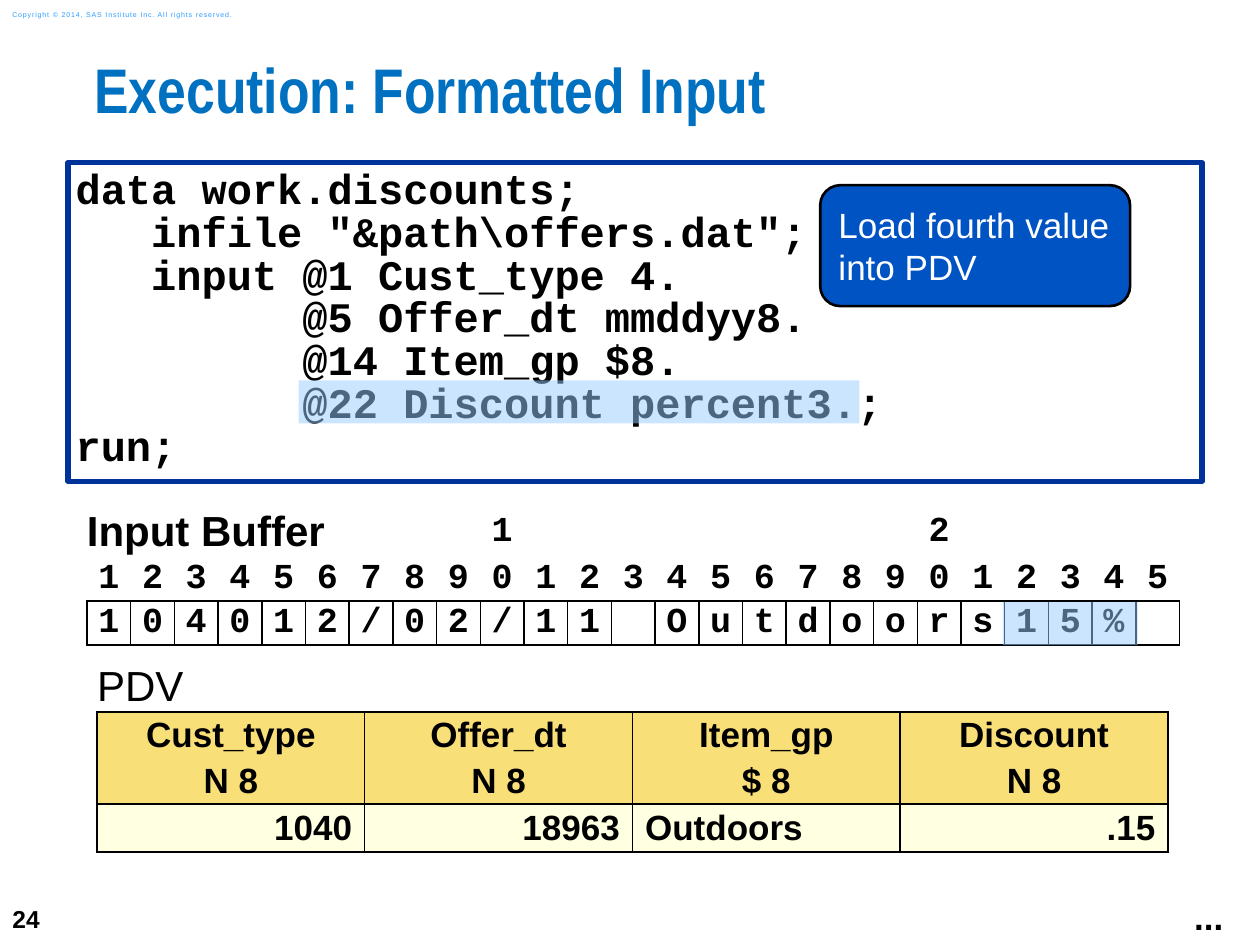
from lxml import etree
from pptx import Presentation
from pptx.dml.color import RGBColor
from pptx.enum.shapes import MSO_SHAPE
from pptx.enum.text import MSO_ANCHOR, PP_ALIGN
from pptx.oxml.ns import qn
from pptx.util import Inches, Pt

NO_STYLE = "{2D5ABB26-0587-4C30-8999-92F81FD0307C}"
BLACK, WHITE = "000000", "FFFFFF"
CODE = [
    "data work.discounts;",
    '   infile "&path\\offers.dat";',
    "   input @1 Cust_type 4.",
    "         @5 Offer_dt mmddyy8.",
    "         @14 Item_gp $8.",
    "         @22 Discount percent3.;",
    "run;",
]
RECORD = "104012/02/11 Outdoors15% "
VARIABLES = [
    ("Cust_type", "N 8", "1040"),
    ("Offer_dt", "N 8", "18963"),
    ("Item_gp", "$ 8", "Outdoors"),
    ("Discount", "N 8", ".15"),
]


def rgb(color):
    return RGBColor.from_string(color)


def write(tf, lines, size, font="Arial", color=BLACK, bold=False,
          align=PP_ALIGN.LEFT, spacing=None, gap=0):
    for i, line in enumerate(lines):
        p = tf.add_paragraph() if i else tf.paragraphs[0]
        p.alignment = align
        if spacing:
            p.line_spacing = spacing
        if i and gap:
            p.space_before = Pt(gap)
        r = p.add_run()
        r.text = line
        r.font.size = Pt(size)
        r.font.name = font
        r.font.bold = bold
        r.font.color.rgb = rgb(color)


def set_frame(tf, inset_x, inset_y, anchor=MSO_ANCHOR.TOP, wrap=True):
    tf.margin_left = tf.margin_right = Inches(inset_x)
    tf.margin_top = tf.margin_bottom = Inches(inset_y)
    tf.vertical_anchor = anchor
    tf.word_wrap = wrap


def add_text(s, box, text, size, inset=(0.1, 0.05), anchor=MSO_ANCHOR.TOP,
             wrap=True, **style):
    tf = s.shapes.add_textbox(*map(Inches, box)).text_frame
    set_frame(tf, *inset, anchor, wrap)
    write(tf, [text], size, **style)
    return tf


def add_box(s, kind, box, fill, line=None, width=1):
    sp = s.shapes.add_shape(kind, *map(Inches, box))
    sp.shadow.inherit = False
    sp.fill.solid()
    sp.fill.fore_color.rgb = rgb(fill)
    if line:
        sp.line.color.rgb = rgb(line)
        sp.line.width = Pt(width)
    else:
        sp.line.fill.background()
    return sp


def add_highlight(s, box):
    sp = add_box(s, MSO_SHAPE.RECTANGLE, box, "99CCFF")
    color = sp._element.spPr.find(qn("a:solidFill"))[0]
    etree.SubElement(color, qn("a:alpha"), val="50000")


def add_grid(s, left, top, width, cols, heights):
    frame = s.shapes.add_table(len(heights), cols, Inches(left), Inches(top),
                               Inches(width), Inches(sum(heights)))
    table = frame.table
    table.first_row = table.horz_banding = False
    table._tbl.tblPr.find(qn("a:tableStyleId")).text = NO_STYLE
    for row, height in zip(table.rows, heights):
        row.height = Inches(height)
    for col in table.columns:
        col.width = Inches(width / cols)
    return table


def fill_cell(cell, lines, size, borders="", fill=None, inset=0, **style):
    cell.margin_left = cell.margin_right = Inches(inset)
    cell.margin_top = cell.margin_bottom = 0
    cell.vertical_anchor = MSO_ANCHOR.MIDDLE
    tcPr = cell._tc.get_or_add_tcPr()
    for side in borders:
        ln = etree.SubElement(tcPr, qn(f"a:ln{side}"), w=str(Pt(1)))
        solid = etree.SubElement(ln, qn("a:solidFill"))
        etree.SubElement(solid, qn("a:srgbClr"), val=BLACK)
    if fill:
        cell.fill.solid()
        cell.fill.fore_color.rgb = rgb(fill)
    write(cell.text_frame, lines, size, gap=4, **style)


def add_input_buffer(s):
    count = len(RECORD)
    table = add_grid(s, 0.69, 4.02, 8.68, count, [0.4, 0.35, 0.35])
    mono = dict(font="Courier New", bold=True, align=PP_ALIGN.CENTER)
    table.cell(0, 0).merge(table.cell(0, 8))
    fill_cell(table.cell(0, 0), ["Input Buffer"], 24, bold=True)
    for i, char in enumerate(RECORD):
        tens, ones = divmod(i + 1, 10)
        if i >= 9:
            mark = [] if ones else [str(tens)]
            fill_cell(table.cell(0, i), mark, 20, **mono)
        fill_cell(table.cell(1, i), [str(ones)], 20, "B", **mono)
        fill_cell(table.cell(2, i), [char] if char.strip() else [], 20, "LRTB", **mono)


def add_pdv(s):
    table = add_grid(s, 0.77, 5.25, 8.5, len(VARIABLES), [0.4, 0.73, 0.38])
    table.cell(0, 0).merge(table.cell(0, len(VARIABLES) - 1))
    fill_cell(table.cell(0, 0), ["PDV"], 24, "B", WHITE)
    for i, (name, kind, value) in enumerate(VARIABLES):
        fill_cell(table.cell(1, i), [name, kind], 20, "LRTB", "F9DF78", 0.1,
                  bold=True, align=PP_ALIGN.CENTER)
        align = PP_ALIGN.LEFT if kind.startswith("$") else PP_ALIGN.RIGHT
        fill_cell(table.cell(2, i), [value], 20, "LRTB", "FFFFE1", 0.1,
                  bold=True, align=align)


def add_code(s):
    sp = add_box(s, MSO_SHAPE.RECTANGLE, (0.54, 1.29, 9, 2.53), WHITE, "003399", 3)
    set_frame(sp.text_frame, 0.06, 0.06)
    write(sp.text_frame, CODE, 24, "Courier New", bold=True, spacing=0.85)


def add_callout(s):
    sp = add_box(s, MSO_SHAPE.ROUNDED_RECTANGLE, (6.51, 1.47, 2.46, 0.96),
                 "0053C3", BLACK, 1.5)
    set_frame(sp.text_frame, 0.1, 0.1)
    write(sp.text_frame, ["Load fourth value into PDV"], 20, color=WHITE)


def main():
    prs = Presentation()
    prs.slide_width, prs.slide_height = Inches(10), Inches(7.5)
    s = prs.slides.add_slide(prs.slide_layouts[6])
    add_text(s, (0, 7.08, 0.58, 0.42), "24", 14, anchor=MSO_ANCHOR.MIDDLE,
             wrap=False, bold=True)
    tf = add_text(s, (0, 0.03, 2.11, 0.17),
                  "Copyright © 2014, SAS Institute Inc. All rights reserved.", 4,
                  anchor=MSO_ANCHOR.MIDDLE, color="2A9CFF")
    tf.paragraphs[0].runs[0].font._element.set("spc", "50")
    add_text(s, (0.75, 0.5, 9.25, 0.74), "Execution: Formatted Input", 36, (0, 0),
             font="Arial Narrow", color="0070C0", bold=True, spacing=0.83)
    add_input_buffer(s)
    add_pdv(s)
    add_code(s)
    add_callout(s)
    add_text(s, (9.38, 7.06, 0.43, 0.44), "...", 20, wrap=False, bold=True)
    add_highlight(s, (7.96, 4.78, 1.07, 0.34))
    add_highlight(s, (2.37, 3.02, 4.45, 0.34))
    prs.save("out.pptx")


if __name__ == "__main__":
    main()
